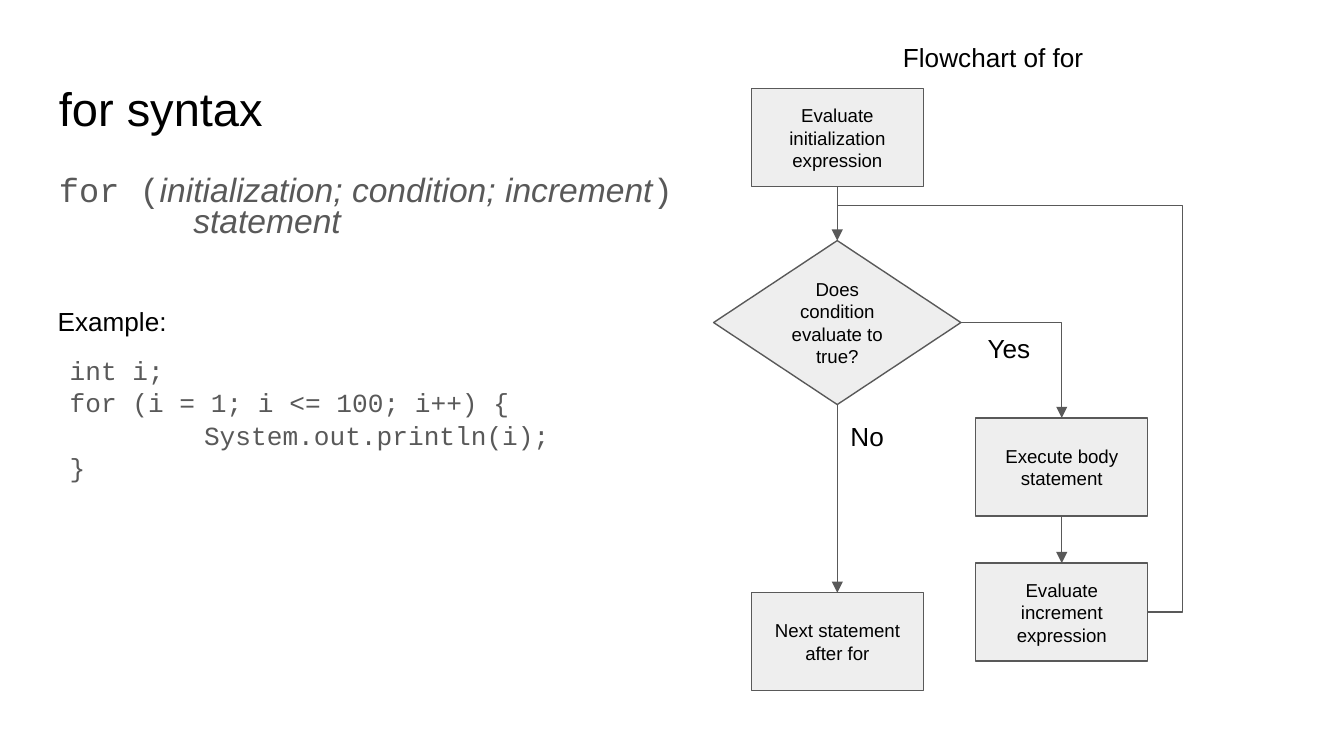
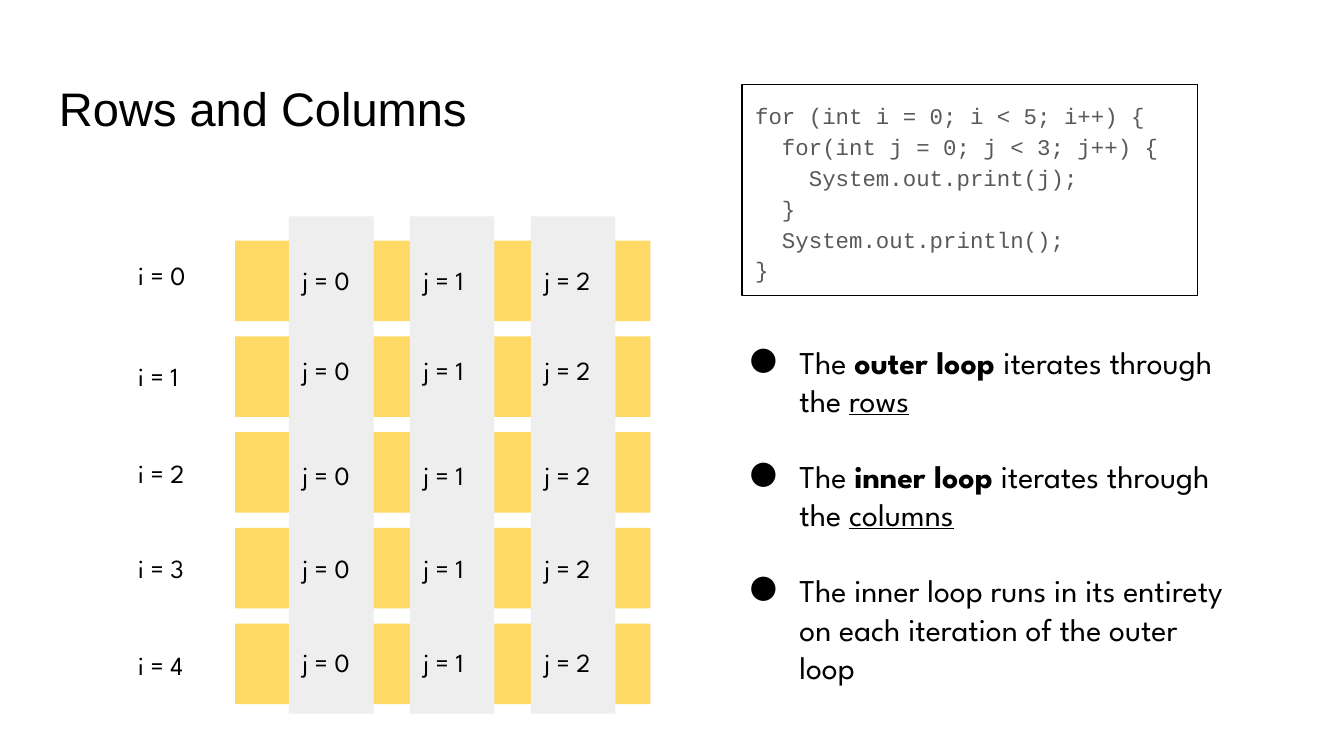
from pptx import Presentation
from pptx.dml.color import RGBColor
from pptx.enum.shapes import MSO_CONNECTOR, MSO_SHAPE
from pptx.enum.text import MSO_ANCHOR, PP_ALIGN
from pptx.oxml.ns import qn
from pptx.util import Inches, Pt
from lxml.etree import SubElement

COLORS = {"ink": "000000", "gray": "595959", "panel": "EEEEEE", "row": "FFD966"}
SANS, MONO, ROUND = "Arial", "Courier New", "League Spartan"
ITALIC = {"font": SANS, "italic": True}
BOLD, UNDERLINE = {"bold": True}, {"underline": True}
TOP, LEFT, BOTTOM, RIGHT = range(4)

SYNTAX = [
    [("for (", {}), ("initialization; condition; increment", ITALIC), (")", {})],
    [("statement", ITALIC)],
]
EXAMPLE = ["int i;", "for (i = 1; i <= 100; i++) {", "System.out.println(i);", "}"]
LABELS = [
    ("Flowchart of for", 6.62, 0.21, 2.25),
    ("Example:", 0.33, 2.17, 3.28),
    ("Yes", 7.25, 2.37, 0.53),
    ("No", 6.23, 3.03, 0.53),
]
BOX_SIZE = (1.28, 0.73)
STEPS = {
    "initialize": ("Evaluate initialization expression", 5.59, 0.66),
    "next": ("Next statement after for", 5.59, 4.41),
    "body": ("Execute body statement", 7.26, 3.11),
    "increment": ("Evaluate increment expression", 7.26, 4.19),
}
ARROWS = [
    ("condition", BOTTOM, "next", TOP, "line", ()),
    ("condition", RIGHT, "body", TOP, "bentConnector2", ()),
    ("body", BOTTOM, "increment", TOP, "line", ()),
    ("increment", RIGHT, "condition", TOP, "bentConnector4", (-11300, 109400)),
]

NESTED_LOOP = """for (int i = 0; i < 5; i++) {
  for(int j = 0; j < 3; j++) {
    System.out.print(j);
  }
  System.out.println();
}"""
POINTS = [
    [("The ", {}), ("outer loop ", BOLD), ("iterates through the ", {}), ("rows", UNDERLINE)],
    [("The ", {}), ("inner loop", BOLD), (" iterates through the ", {}), ("columns", UNDERLINE)],
    [("The inner loop runs in its entirety on each iteration of the outer loop", {})],
]
ROW_LABEL_TOPS = [1.83, 2.58, 3.3, 4.01, 4.73]
CELL_LABEL_TOPS = [1.87, 2.54, 3.32, 4.01, 4.71]
COLUMN_LEFTS = [2.15 + 0.9 * column for column in range(3)]
ROW_PITCH = 2.85 / 4


def color(name):
    return RGBColor.from_string(COLORS[name])


def add_span(para, text, size, font, ink, bold=False, italic=False, underline=False):
    span = para.add_run()
    span.text = text
    span.font.size = Pt(size)
    span.font.name = font
    span.font.color.rgb = color(ink)
    span.font.bold = bold
    span.font.italic = italic
    span.font.underline = underline


def write(shape, paras, size, font=SANS, ink="ink", align=PP_ALIGN.LEFT,
          anchor=MSO_ANCHOR.TOP, spacing=None, before=0):
    frame = shape.text_frame
    frame.word_wrap = True
    frame.vertical_anchor = anchor
    frame.margin_left = frame.margin_right = Inches(0.1)
    frame.margin_top = frame.margin_bottom = Inches(0.1)
    for index, spans in enumerate(paras):
        para = frame.add_paragraph() if index else frame.paragraphs[0]
        para.alignment = align
        if spacing:
            para.line_spacing = spacing
        if index and before:
            para.space_before = Pt(before)
        for text, changes in [(spans, {})] if isinstance(spans, str) else spans:
            look = {"size": size, "font": font, "ink": ink, **changes}
            for number, line in enumerate(text.split("\n")):
                if number:
                    para.add_line_break()
                add_span(para, line, **look)
    return frame.paragraphs


def add_text(page, place, paras, size, **look):
    box = page.shapes.add_textbox(*map(Inches, place))
    return write(box, paras, size, **look)


def add_title(page, text, width):
    add_text(page, (0.34, 0.49, width, 0.63), [text], 25.2)


def add_box(page, place, fill=None, line=None, kind=MSO_SHAPE.RECTANGLE):
    box = page.shapes.add_shape(kind, *map(Inches, place))
    box.shadow.inherit = False
    if fill:
        box.fill.solid()
        box.fill.fore_color.rgb = color(fill)
    else:
        box.fill.background()
    if line:
        box.line.color.rgb = color(line)
        box.line.width = Pt(0.75)
    else:
        box.line.fill.background()
    return box


def indent(para, left, first=0):
    properties = para._p.get_or_add_pPr()
    properties.set("marL", str(Inches(left)))
    properties.set("indent", str(Inches(first)))
    return properties


def add_bullet(para):
    properties = indent(para, 0.5, -0.37)
    tint = SubElement(properties, qn("a:buClr"))
    SubElement(tint, qn("a:srgbClr"), val=COLORS["ink"])
    SubElement(properties, qn("a:buFont"), typeface=ROUND)
    SubElement(properties, qn("a:buChar"), char="●")


def add_link(page, start, start_side, finish=None, finish_side=None,
             preset="line", adjustments=(), point=(0, 0)):
    kind = MSO_CONNECTOR.STRAIGHT if preset == "line" else MSO_CONNECTOR.ELBOW
    link = page.shapes.add_connector(kind, 0, 0, *map(Inches, point))
    link.begin_connect(start, start_side)
    link.line.color.rgb = color("gray")
    link.line.width = Pt(0.75)
    if finish is not None:
        link.end_connect(finish, finish_side)
        SubElement(link.line._get_or_add_ln(), qn("a:tailEnd"), type="triangle")
    properties = link._element.spPr
    SubElement(properties, qn("a:effectLst"))
    geometry = properties.find(qn("a:prstGeom"))
    geometry.set("prst", preset)
    guides = geometry.find(qn("a:avLst"))
    for number, value in enumerate(adjustments, 1):
        SubElement(guides, qn("a:gd"), name=f"adj{number}", fmla=f"val {value}")


def build_syntax(page):
    add_title(page, "for syntax", 3.76)
    paras = add_text(page, (0.34, 1.26, 4.81, 0.85), SYNTAX, 18, font=MONO,
                     ink="gray", spacing=0.6, before=4)
    indent(paras[1], 1)
    paras = add_text(page, (0.42, 2.58, 4.73, 1.12), EXAMPLE, 14, font=MONO,
                     ink="gray", spacing=0.8, before=4)
    indent(paras[2], 1)

    centered = {"align": PP_ALIGN.CENTER, "anchor": MSO_ANCHOR.MIDDLE}
    nodes = {}
    for name, (text, left, top) in STEPS.items():
        nodes[name] = add_box(page, (left, top, *BOX_SIZE), "panel", "gray")
        write(nodes[name], [text], 10, **centered)
    nodes["condition"] = add_box(page, (5.31, 1.79, 1.84, 1.22), "panel", "gray",
                                 MSO_SHAPE.FLOWCHART_DECISION)
    write(nodes["condition"], ["Does condition evaluate to true?"], 10, **centered)

    for start, start_side, finish, finish_side, preset, adjustments in ARROWS:
        add_link(page, nodes[start], start_side, nodes[finish], finish_side,
                 preset, adjustments)
    add_link(page, nodes["initialize"], BOTTOM, point=(6.23, 1.59))
    for text, left, top, width in LABELS:
        add_text(page, (left, top, width, 0.44), [text], 14)


def build_grid(page):
    add_title(page, "Rows and Columns", 9.32)
    for row in range(len(ROW_LABEL_TOPS)):
        add_box(page, (1.75, 1.79 + ROW_PITCH * row, 3.09, 0.6), "row")
    for left in COLUMN_LEFTS:
        add_box(page, (left, 1.61, 0.63, 3.7), "panel")
    for row, (row_top, cell_top) in enumerate(zip(ROW_LABEL_TOPS, CELL_LABEL_TOPS)):
        add_text(page, (0.93, row_top, 0.63, 0.44), [f"i = {row}"], 14, font=ROUND)
        for column, left in enumerate(COLUMN_LEFTS):
            add_text(page, (left, cell_top, 0.63, 0.44), [f"j = {column}"], 14, font=ROUND)

    for para in add_text(page, (5.35, 2.45, 3.96, 2.78), POINTS, 17, font=ROUND, before=20.4):
        add_bullet(para)
    code = add_box(page, (5.52, 0.63, 3.39, 1.57), line="ink")
    write(code, [NESTED_LOOP], 12, font=MONO, ink="gray", spacing=1.15)


def main():
    deck = Presentation()
    deck.slide_width = Inches(10)
    deck.slide_height = deck.slide_width * 9 // 16
    for build in (build_syntax, build_grid):
        build(deck.slides.add_slide(deck.slide_layouts[6]))
    deck.save("out.pptx")


if __name__ == "__main__":
    main()
